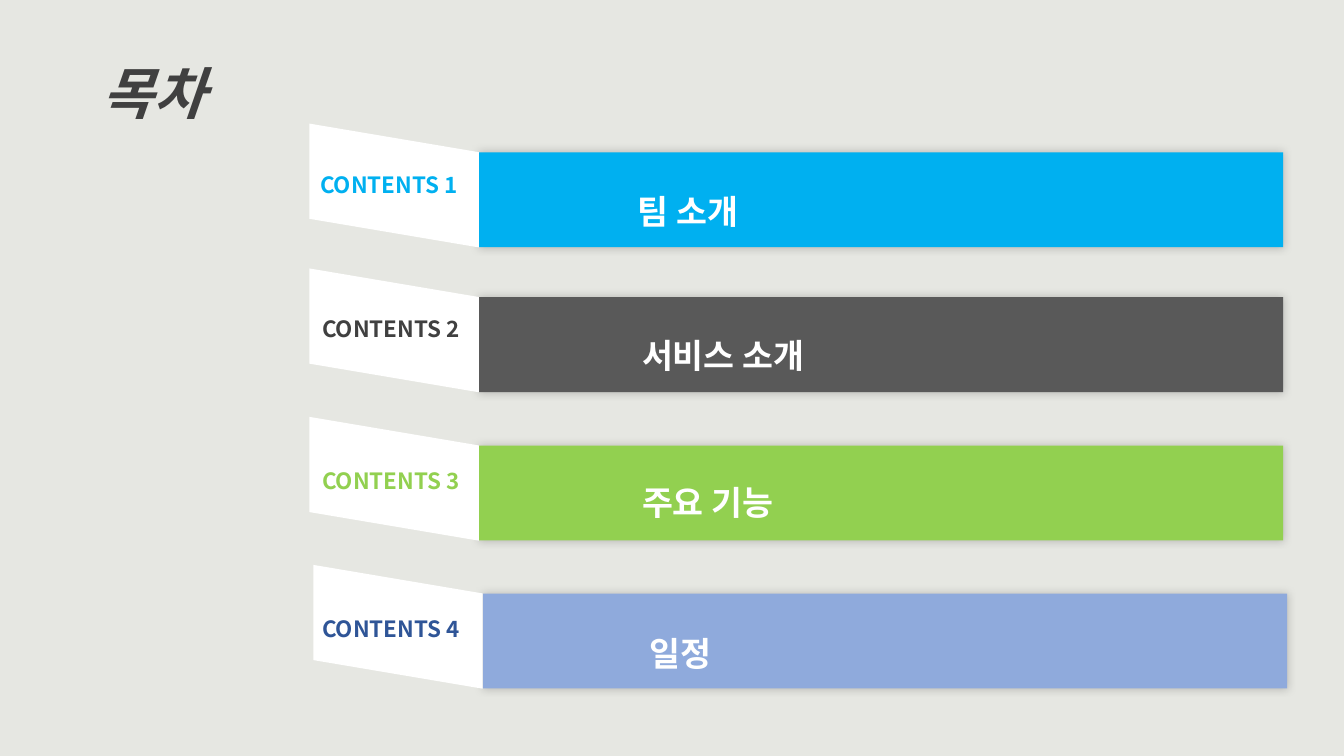
"""Build a table-of-contents slide with four folded banner rows."""
from dataclasses import dataclass

import lxml.etree
import pptx
import pptx.dml.color
import pptx.enum.shapes
import pptx.enum.text
import pptx.oxml.ns
import pptx.shapes.base
import pptx.slide
import pptx.text.text
import pptx.util

Cm = pptx.util.Cm
FONT = "Noto Sans CJK KR"
COLORS = {
    "background": "E6E7E2",
    "white": "FFFFFF",
    "dark": "404040",
    "blue": "00B0F0",
    "gray": "595959",
    "green": "92D050",
    "periwinkle": "8FAADC",
    "navy": "2F5597",
    "shadow": "000000",
}
BAR_WIDTH, BAR_HEIGHT = 20.27, 2.39
TAB_WIDTH, TAB_HEIGHT = 3.12, 4.27
TAB_OFFSET_X, TAB_OFFSET_Y = -3.7, -1.3
TAB_SLANT = 0.231
TOPIC_WIDTH, TOPIC_HEIGHT = 15.19, 1.8
LABEL_WIDTH, LABEL_HEIGHT = 5.23, 1.27


@dataclass(frozen=True)
class Position:
    left: float
    top: float


@dataclass(frozen=True)
class Entry:
    topic: str
    bar_color: str
    label_color: str
    bar: Position
    topic_at: Position
    label_at: Position


ENTRIES = [
    Entry("팀 소개", "blue", "blue",
          Position(12.07, 3.84), Position(15.82, 4.19), Position(7.82, 3.84)),
    Entry("서비스 소개", "gray", "dark",
          Position(12.07, 7.49), Position(15.93, 7.8), Position(7.87, 7.47)),
    Entry("주요 기능", "green", "green",
          Position(12.07, 11.23), Position(15.93, 11.51), Position(7.87, 11.3)),
    Entry(" 일정", "periwinkle", "navy",
          Position(12.17, 14.96), Position(15.93, 15.32), Position(7.87, 15.04)),
]


def rgb(color: str) -> pptx.dml.color.RGBColor:
    """Return the named colour."""
    return pptx.dml.color.RGBColor.from_string(COLORS[color])


def write_text(text_frame: pptx.text.text.TextFrame, text: str, size: float,
               color: str, italic: bool = False) -> None:
    """Fill a text frame with one bold, left-aligned line."""
    text_frame.text = text
    text_frame.word_wrap = True
    text_frame.auto_size = pptx.enum.text.MSO_AUTO_SIZE.SHAPE_TO_FIT_TEXT
    text_frame.vertical_anchor = pptx.enum.text.MSO_ANCHOR.TOP
    paragraph = text_frame.paragraphs[0]
    paragraph.alignment = pptx.enum.text.PP_ALIGN.LEFT
    paragraph.line_spacing = 1.5
    paragraph.space_before = pptx.util.Pt(0)
    run = paragraph.runs[0]
    run.font.size = pptx.util.Pt(size)
    run.font.bold = True
    run.font.italic = italic
    run.font.color.rgb = rgb(color)
    run.font.name = FONT
    east_asian = lxml.etree.SubElement(run.font._element, pptx.oxml.ns.qn("a:ea"))
    east_asian.set("typeface", FONT)


def add_text(slide: pptx.slide.Slide, position: Position, width: float,
             height: float, text: str, size: float, color: str) -> None:
    """Add a text box holding one line."""
    shape = slide.shapes.add_textbox(
        Cm(position.left), Cm(position.top), Cm(width), Cm(height))
    write_text(shape.text_frame, text, size, color)


def add_soft_shadow(shape: pptx.shapes.base.BaseShape) -> None:
    """Give a shape a faint shadow on every side."""
    qn = pptx.oxml.ns.qn
    effects = shape._element.spPr.find(qn("a:effectLst"))
    shadow = lxml.etree.SubElement(
        effects, qn("a:outerShdw"), blurRad=str(pptx.util.Pt(6)), dist="0",
        dir=str(315 * 60000), algn="ctr", rotWithShape="0")
    color = lxml.etree.SubElement(shadow, qn("a:srgbClr"), val=COLORS["shadow"])
    lxml.etree.SubElement(color, qn("a:alpha"), val="20000")


def add_banner(slide: pptx.slide.Slide, entry: Entry) -> None:
    """Add the grouped bar and slanted tab of one entry."""
    kinds = pptx.enum.shapes.MSO_SHAPE
    group = slide.shapes.add_group_shape()
    bar = group.shapes.add_shape(
        kinds.RECTANGLE, Cm(entry.bar.left), Cm(entry.bar.top),
        Cm(BAR_WIDTH), Cm(BAR_HEIGHT))
    tab = group.shapes.add_shape(
        kinds.PARALLELOGRAM, Cm(entry.bar.left + TAB_OFFSET_X),
        Cm(entry.bar.top + TAB_OFFSET_Y), Cm(TAB_WIDTH), Cm(TAB_HEIGHT))
    tab.rotation = 90
    tab.adjustments[0] = TAB_SLANT
    for shape, color in ((bar, entry.bar_color), (tab, "white")):
        shape.shadow.inherit = False
        shape.fill.solid()
        shape.fill.fore_color.rgb = rgb(color)
        shape.line.fill.background()
    add_soft_shadow(bar)


def add_title(slide: pptx.slide.Slide, text: str) -> None:
    """Place and format the slide title."""
    title = slide.shapes.title
    title.left, title.top = Cm(2.31), Cm(0.51)
    title.width, title.height = Cm(13.59), Cm(2.49)
    write_text(title.text_frame, text, 40, "dark", italic=True)


def main() -> None:
    """Create and save the presentation."""
    presentation = pptx.Presentation()
    presentation.slide_width, presentation.slide_height = Cm(33.87), Cm(19.05)
    slide = presentation.slides.add_slide(presentation.slide_layouts[5])
    slide.background.fill.solid()
    slide.background.fill.fore_color.rgb = rgb("background")
    add_title(slide, "목차")
    for number, entry in enumerate(ENTRIES, start=1):
        add_banner(slide, entry)
        add_text(slide, entry.topic_at, TOPIC_WIDTH, TOPIC_HEIGHT,
                 entry.topic, 24, "white")
        add_text(slide, entry.label_at, LABEL_WIDTH, LABEL_HEIGHT,
                 f"CONTENTS {number}", 16, entry.label_color)
    presentation.save("out.pptx")


if __name__ == "__main__":
    main()
